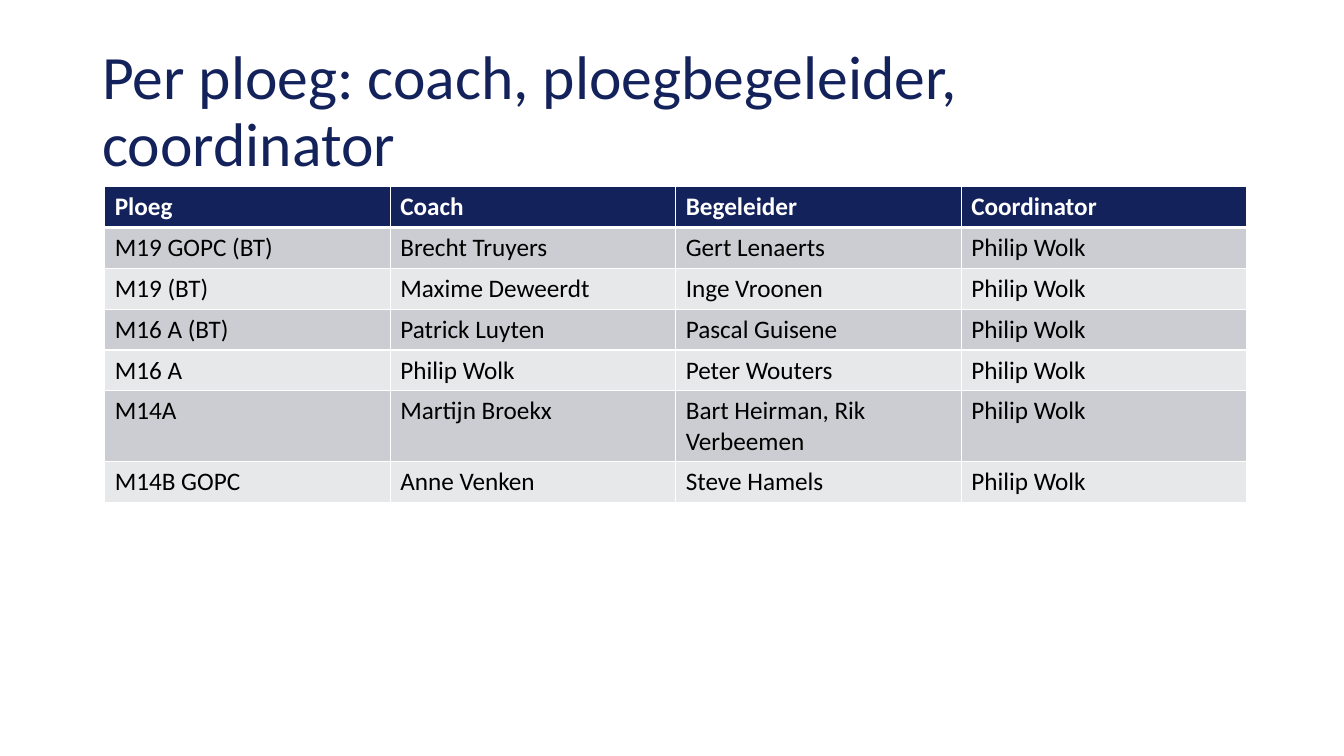
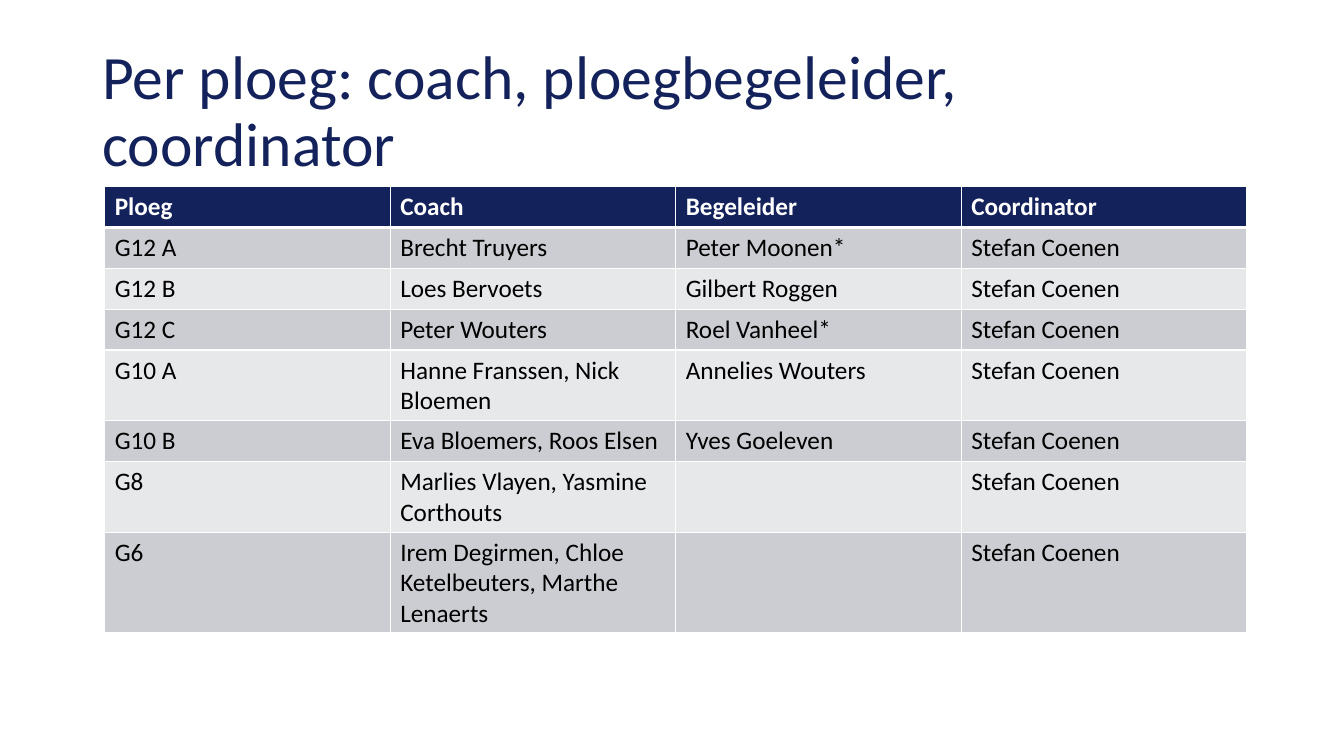
from dataclasses import dataclass

from lxml.etree import SubElement
from pptx import Presentation
from pptx.dml.color import RGBColor
from pptx.enum.text import MSO_ANCHOR
from pptx.oxml.ns import qn
from pptx.util import Cm, Pt

TITLE = "Per ploeg: coach, ploegbegeleider, coordinator"
HEADER = ("Ploeg", "Coach", "Begeleider", "Coordinator")
SLIDES = [
    {
        "coordinator": "Philip Wolk",
        "teams": [
            ("M19 GOPC (BT)", "Brecht Truyers", "Gert Lenaerts"),
            ("M19 (BT)", "Maxime Deweerdt", "Inge Vroonen"),
            ("M16 A (BT)", "Patrick Luyten", "Pascal Guisene"),
            ("M16 A", "Philip Wolk", "Peter Wouters"),
            ("M14A", "Martijn Broekx", "Bart Heirman, Rik Verbeemen"),
            ("M14B GOPC", "Anne Venken", "Steve Hamels"),
        ],
    },
    {
        "coordinator": "Stefan Coenen",
        "teams": [
            ("G12 A", "Brecht Truyers", "Peter Moonen*"),
            ("G12 B", "Loes Bervoets", "Gilbert Roggen"),
            ("G12 C", "Peter Wouters", "Roel Vanheel*"),
            ("G10 A", "Hanne Franssen, Nick Bloemen", "Annelies Wouters"),
            ("G10 B", "Eva Bloemers, Roos Elsen", "Yves Goeleven"),
            ("G8", "Marlies Vlayen, Yasmine Corthouts", ""),
            ("G6", "Irem Degirmen, Chloe Ketelbeuters, Marthe Lenaerts", ""),
        ],
    },
]


@dataclass(frozen=True)
class Theme:
    font: str = "Calibri"
    navy: str = "14225C"
    white: str = "FFFFFF"
    black: str = "000000"
    bands: tuple = ("CCCDD2", "E7E8EA")
    title_size: int = 44
    body_size: int = 18
    thin: int = 1
    thick: int = 3


THEME = Theme()
TITLE_BOX = (Cm(2.33), Cm(1.01), Cm(29.21), Cm(3.68))
TABLE_LEFT, TABLE_TOP, TABLE_WIDTH = Cm(2.64), Cm(4.7), Cm(28.78)
ROW_HEIGHT = Cm(1.03)


def write(p, text, size, color, bold=False):
    r = p.add_run()
    r.text = text
    for name, value in {"name": THEME.font, "size": Pt(size), "bold": bold}.items():
        setattr(r.font, name, value)
    r.font.color.rgb = RGBColor.from_string(color)


def add_title(s):
    tf = s.shapes.add_textbox(*TITLE_BOX).text_frame
    for name, value in {"word_wrap": True, "vertical_anchor": MSO_ANCHOR.MIDDLE}.items():
        setattr(tf, name, value)
    p = tf.paragraphs[0]
    p.line_spacing = 0.9
    write(p, TITLE, THEME.title_size, THEME.navy)


def set_borders(cell, widths):
    tc_pr = cell._tc.get_or_add_tcPr()
    for side, width in widths.items():
        ln = SubElement(tc_pr, qn(f"a:ln{side}"), w=str(Pt(width)))
        SubElement(SubElement(ln, qn("a:solidFill")), qn("a:srgbClr"), val=THEME.white)


def add_team_table(s, teams, coordinator):
    rows = [HEADER] + [(*team, coordinator) for team in teams]
    table = s.shapes.add_table(
        len(rows), len(HEADER), TABLE_LEFT, TABLE_TOP, TABLE_WIDTH, ROW_HEIGHT * len(rows)
    ).table
    table.horz_banding = False
    for i, row in enumerate(rows):
        is_header = i == 0
        fill = THEME.navy if is_header else THEME.bands[(i - 1) % 2]
        color = THEME.white if is_header else THEME.black
        widths = {
            "L": THEME.thin,
            "R": THEME.thin,
            "T": THEME.thick if i == 1 else THEME.thin,
            "B": THEME.thick if is_header else THEME.thin,
        }
        for j, text in enumerate(row):
            cell = table.cell(i, j)
            set_borders(cell, widths)
            cell.fill.solid()
            cell.fill.fore_color.rgb = RGBColor.from_string(fill)
            if text:
                write(cell.text_frame.paragraphs[0], text, THEME.body_size, color, is_header)


def main():
    prs = Presentation()
    prs.slide_width, prs.slide_height = Cm(33.87), Cm(19.05)
    for content in SLIDES:
        s = prs.slides.add_slide(prs.slide_layouts[6])
        add_title(s)
        add_team_table(s, **content)
    prs.save("out.pptx")


if __name__ == "__main__":
    main()
